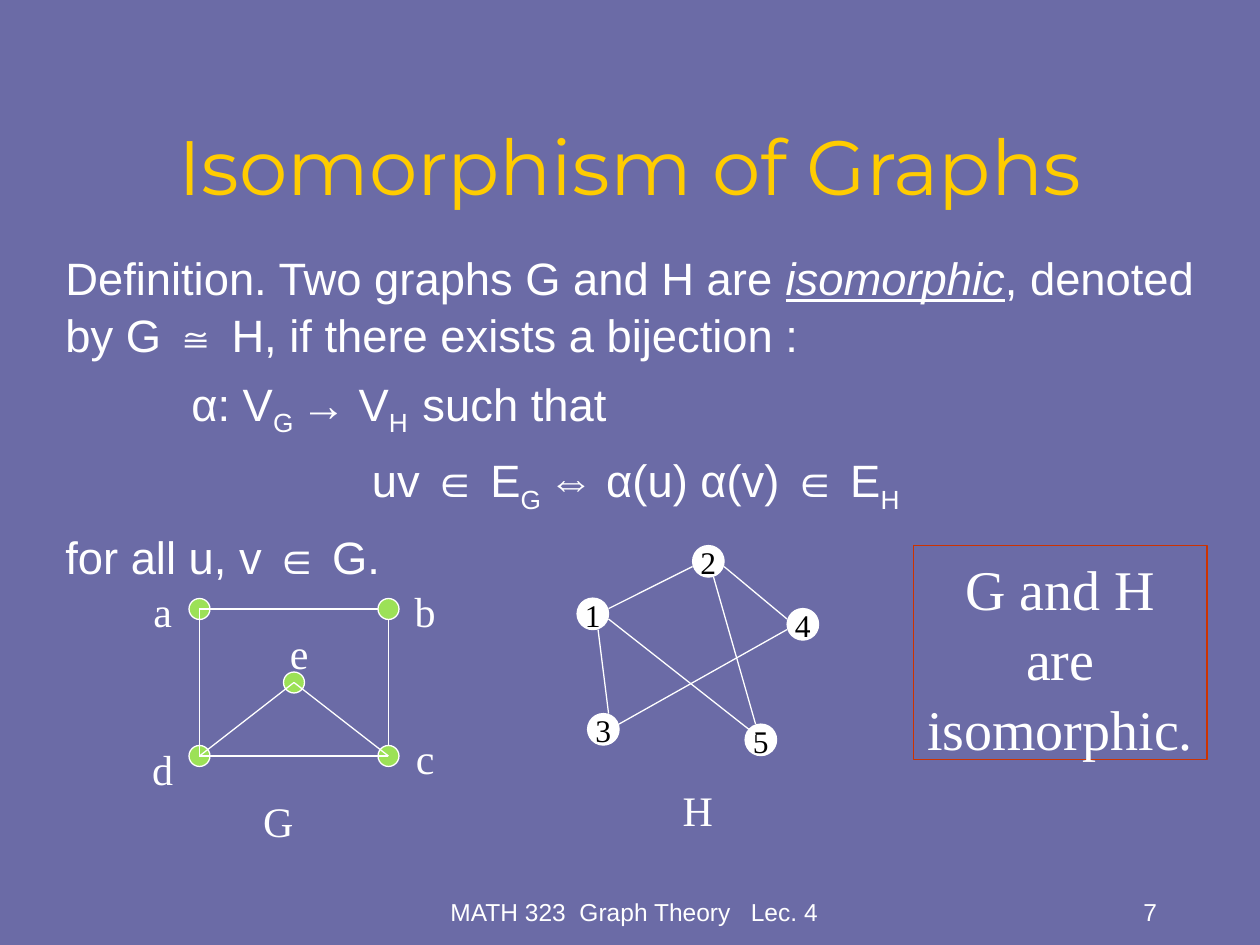
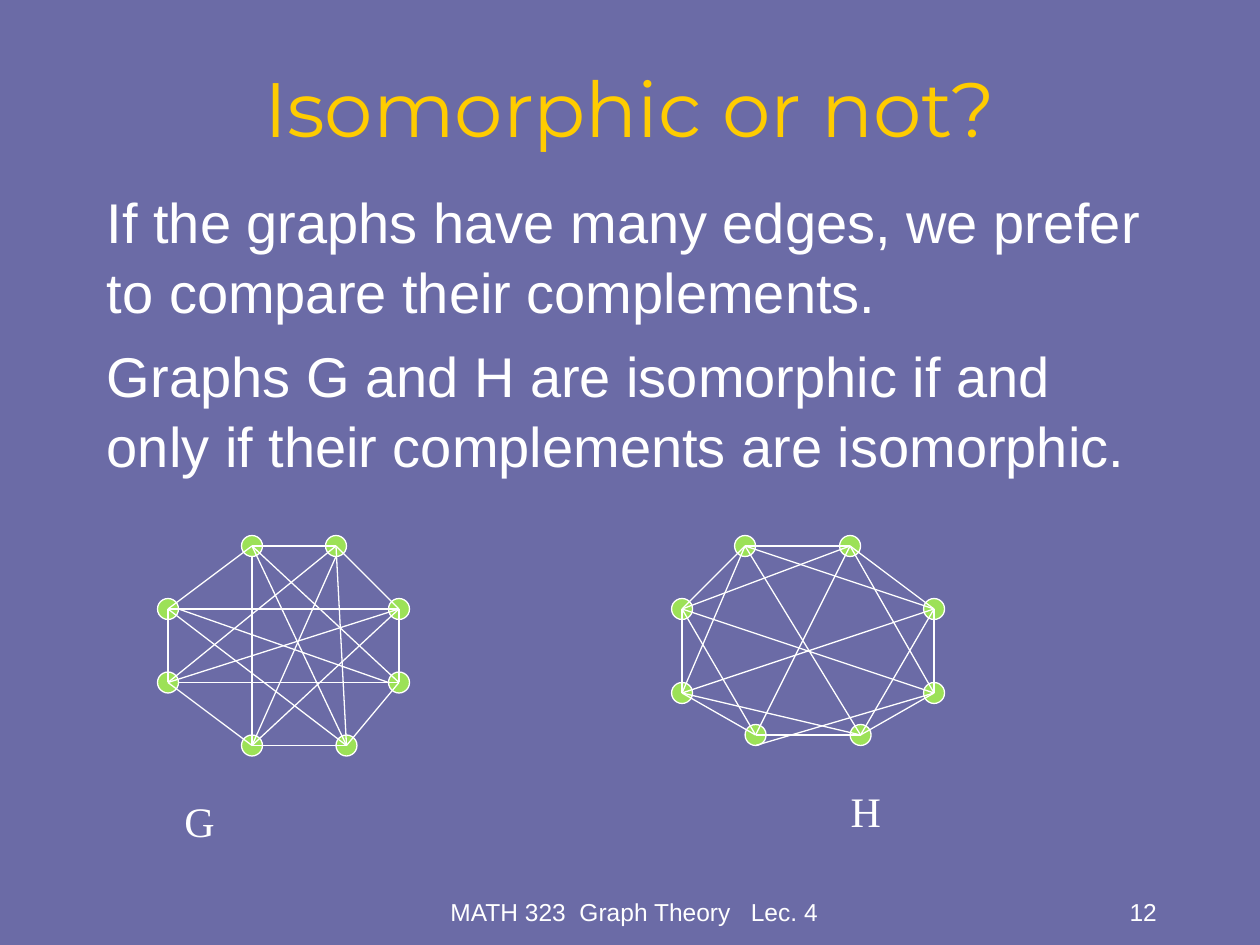
from pptx import Presentation
from pptx.dml.color import RGBColor
from pptx.enum import shapes, text
from pptx.oxml import ns
from pptx.util import Inches, Pt
from lxml import etree

COLORS = {
    "background": "6B6BA6",
    "title": "FFCC00",
    "white": "FFFFFF",
    "black": "000000",
    "vertex": "9CE157",
    "frame": "CC3300",
}
SANS, SERIF, DISPLAY = "Arial", "Times New Roman", "Montserrat"
LINE_SPACING = 1.04
GRID = 1 / 12  # the graphs are laid out on a grid of 12 steps to the inch
CENTER, LEFT, RIGHT = text.PP_ALIGN.CENTER, text.PP_ALIGN.LEFT, text.PP_ALIGN.RIGHT
TOP, MIDDLE, BOTTOM = text.MSO_ANCHOR.TOP, text.MSO_ANCHOR.MIDDLE, text.MSO_ANCHOR.BOTTOM
FOOTER = "MATH 323  Graph Theory   Lec. 4"


def color(name):
    return RGBColor.from_string(COLORS[name])


# Text helpers
def add_run(p, words, size, font, fill="white", italic=False, baseline=0):
    r = p.add_run()
    r.text = words
    r.font.size = Pt(size)
    r.font.name = font
    r.font.color.rgb = color(fill)
    if italic:
        r.font.italic = r.font.underline = True
    if baseline:
        r.font._element.set("baseline", str(baseline * 1000))


def add_paragraph(tf, align=LEFT, before=0, indent=0):
    """Return the empty first paragraph, or a new one with space before it."""
    p = tf.paragraphs[0]
    if p.runs:
        p = tf.add_paragraph()
        p.space_before = Pt(before)
    p.alignment = align
    p.line_spacing = LINE_SPACING
    if indent:
        p._p.get_or_add_pPr().set("marL", str(Inches(indent)))
    return p


def add_box(slide, box, anchor=TOP):
    tf = slide.shapes.add_textbox(*map(Inches, box)).text_frame
    tf.word_wrap = True
    tf.vertical_anchor = anchor
    return tf


def add_label(slide, box, words, size, font, fill="white", align=CENTER, anchor=TOP):
    tf = add_box(slide, box, anchor)
    add_run(add_paragraph(tf, align), words, size, font, fill)


# Shape helpers
def add_outlined(slide, kind, box, line, fill=None):
    sp = slide.shapes.add_shape(kind, *map(Inches, box))
    sp.shadow.inherit = False
    if fill:
        sp.fill.solid()
        sp.fill.fore_color.rgb = color(fill)
    else:
        sp.fill.background()
    sp.line.color.rgb = color(line)
    sp.line.width = Pt(0.75)
    return sp


def add_edge(slide, start, end):
    line = slide.shapes.add_connector(
        shapes.MSO_CONNECTOR.STRAIGHT, *map(Inches, (*start, *end)))
    line.line.color.rgb = color("white")
    line.line.width = Pt(0.75)
    etree.SubElement(line._element.spPr, ns.qn("a:effectLst"))


# Graphs
def add_graph(slide, origin, vertices, edges, caption, caption_box,
              diameter=2, fill="vertex", numbered=False, labels=None):
    """Draw a graph from its origin in inches; all else is in grid steps.

    An edge joins two ends, each a vertex name or a point.
    """
    def place(x, y):
        return origin[0] + x * GRID, origin[1] + y * GRID

    def place_box(x, y, w, h):
        return (*place(x, y), w * GRID, h * GRID)

    for name, (x, y) in vertices.items():
        box = place_box(x - diameter / 2, y - diameter / 2, diameter, diameter)
        sp = add_outlined(slide, shapes.MSO_SHAPE.OVAL, box, "white", fill)
        if numbered:
            tf = sp.text_frame
            tf.word_wrap = False
            tf.vertical_anchor = MIDDLE
            add_run(add_paragraph(tf, CENTER), name, 18, SERIF, "black")
    for start, end in edges:
        add_edge(slide, place(*vertices.get(start, start)),
                 place(*vertices.get(end, end)))
    for name, corner in (labels or {}).items():
        add_label(slide, place_box(*corner, 5, 6), name, 24, SERIF)
    add_label(slide, place_box(*caption_box, 6), caption, 24, SERIF)


# Parts shared by the slides
def new_slide(prs, title, title_top, number):
    slide = prs.slides.add_slide(prs.slide_layouts[6])
    slide.background.fill.solid()
    slide.background.fill.fore_color.rgb = color("background")
    add_label(slide, (0.75, title_top, 8.5, 0.83), title, 44, DISPLAY,
              "title", anchor=MIDDLE)
    add_label(slide, (3.45, 6.9, 3.17, 0.5), FOOTER, 14, SANS, anchor=BOTTOM)
    add_label(slide, (7.2, 6.9, 2.08, 0.5), str(number), 14, SANS,
              align=RIGHT, anchor=BOTTOM)
    return slide


# Definition slide
def add_definition(slide, box):
    paragraphs = [
        (LEFT, 0, [("Definition. Two graphs G and H are ", {}),
                   ("isomorphic", {"italic": True}),
                   (", denoted by G ≅ H, if there exists a bijection :", {})]),
        (LEFT, 1, [("α: V", {}), ("G ", {"baseline": -25}),
                   ("→ V", {}), ("H  ", {"baseline": -25}),
                   ("such that", {})]),
        (CENTER, 0, [("uv ∈ E", {}), ("G ", {"baseline": -25}),
                     ("⇔ α(u) α(v) ∈ E", {}), ("H", {"baseline": -25})]),
        (LEFT, 0, [("for all u, v ∈ G.", {})]),
    ]
    tf = add_box(slide, box)
    for align, indent, runs in paragraphs:
        p = add_paragraph(tf, align, 7, indent)
        for words, style in runs:
            add_run(p, words, 25.9, SANS, **style)


def add_conclusion(slide, box):
    sp = add_outlined(slide, shapes.MSO_SHAPE.RECTANGLE, box, "frame")
    tf = sp.text_frame
    tf.word_wrap = True
    tf.vertical_anchor = TOP
    add_run(add_paragraph(tf, CENTER), "G and H are isomorphic.", 32, SERIF)


def definition_slide(prs):
    slide = new_slide(prs, "Isomorphism of Graphs", 0.88, 7)
    add_definition(slide, (0.42, 1.92, 9.25, 2.75))
    add_graph(
        slide, (1.5, 4.75),
        {"a": (1, 1), "b": (19, 1), "c": (19, 15), "d": (1, 15), "e": (10, 8)},
        ["ad", ("a", (18, 1)), "dc", ((19, 2), (19, 14)), "ed", "ec"],
        "G", (5, 18, 7),
        labels={"a": (-5, -2), "b": (20, -2), "c": (20, 12),
                "d": (-5, 13), "e": (8, 2)})
    add_graph(
        slide, (4.58, 4.33),
        {"1": (1.5, 6.5), "2": (12.5, 1.5), "3": (2.5, 17.5),
         "4": (21.5, 7.5), "5": (17.5, 18.5)},
        [((3, 6), (11, 2)), ((2, 8), (3, 16)), ((3, 7), (17, 18)),
         ((13, 3), (17, 17)), ((14, 2), (20, 7)), ((20, 8), (4, 17))],
        "H", (8, 22, 7), diameter=3, fill="white", numbered=True)
    add_conclusion(slide, (7.25, 4.33, 2.33, 1.7))


# Complement slide
def add_statements(slide, box):
    tf = add_box(slide, box)
    for words in (
        "If the graphs have many edges, we prefer to compare their complements.",
        "Graphs G and H are isomorphic if and only if their complements are isomorphic.",
    ):
        add_run(add_paragraph(tf, before=8), words, 32, SANS)


def complement_slide(prs):
    slide = new_slide(prs, "Isomorphic or not?", 0.42, 12)
    add_statements(slide, (0.75, 1.42, 8.5, 2.42))
    # Vertices run clockwise from the upper left
    add_graph(
        slide, (1.25, 4.25),
        {"a": (9, 1), "b": (17, 1), "c": (23, 7), "d": (23, 14),
         "e": (18, 20), "f": (9, 20), "g": (1, 14), "h": (1, 7)},
        ["ah", "hg", "gf", "fe", "ed", "dc", "cb", "ab", "ad", "he", "bg",
         "cf", "ae", ((9, 2), "f"), ((17, 2), "f"), "be", "cg", "ch",
         ((22, 14), (2, 7)), ("d", (2, 14))],
        "G", (0, 24, 8))
    add_graph(
        slide, (5.33, 4.25),
        {"a": (7, 1), "b": (17, 1), "c": (25, 7), "d": (25, 15),
         "e": (18, 19), "f": (8, 19), "g": (1, 15), "h": (1, 7)},
        ["gh", "ab", "cd", "ef", "ah", "gf", "ed", "cb", "ae", "bf", "hd",
         "cg", "hf", ((8, 20), "d"), "db", "bh", "ag", "ge", "ec", "ca"],
        "H", (15, 23, 7))


def main():
    prs = Presentation()
    prs.slide_width, prs.slide_height = Inches(10), Inches(7.5)
    definition_slide(prs)
    complement_slide(prs)
    prs.save("out.pptx")


if __name__ == "__main__":
    main()
